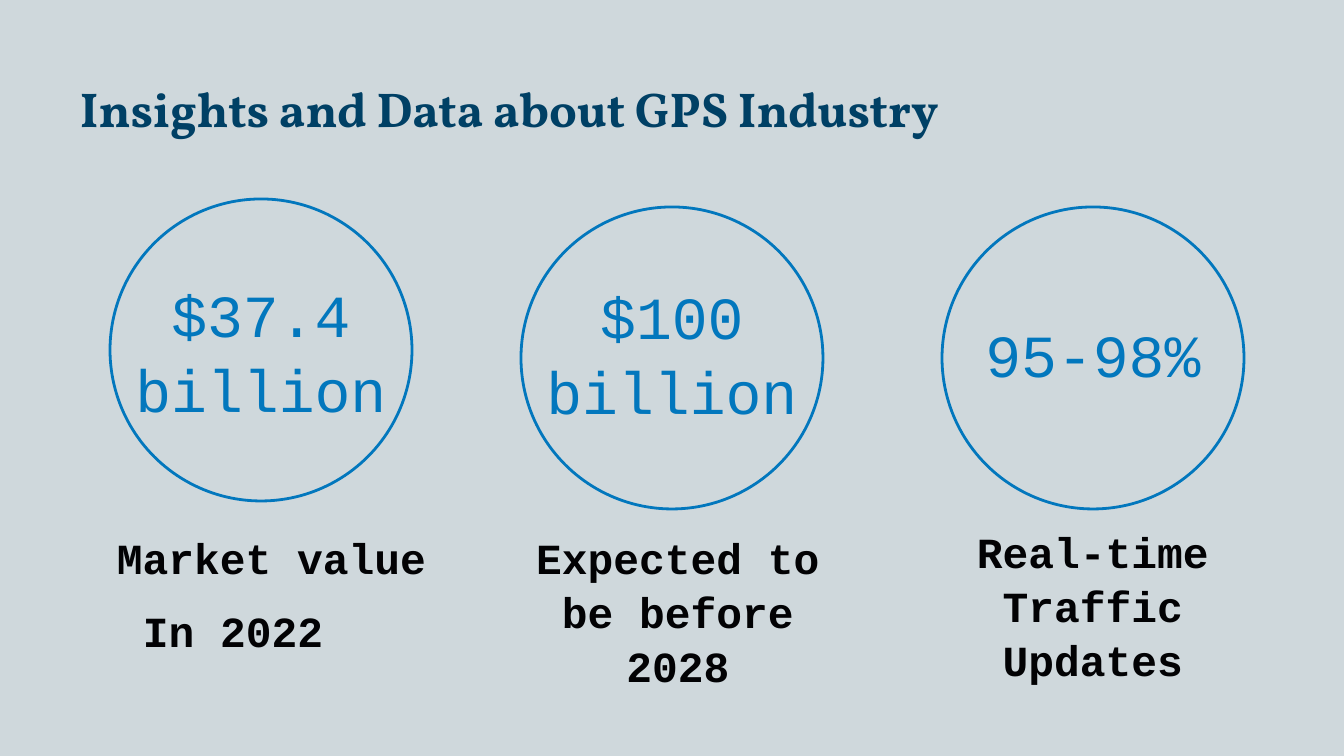
import pptx
import pptx.util
import pptx.dml.color
import pptx.enum.shapes
import pptx.enum.text

RGB = pptx.dml.color.RGBColor
Pt = pptx.util.Pt
ALIGN = pptx.enum.text.PP_ALIGN
ANCHOR = pptx.enum.text.MSO_ANCHOR

PAPER = RGB(0xCF, 0xD8, 0xDC)
BLUE = RGB(0x02, 0x77, 0xBD)
NAVY = RGB(0x00, 0x40, 0x65)
INK = RGB(0x02, 0x02, 0x04)
MONO = "Courier New"
SERIF = "Vollkorn"
SCALE = 914400 / 134.4
RING = 302
PAD = 13


def px(count):
    return pptx.util.Emu(round(count * SCALE))


def add_box(slide, left, top, width, height, anchor, side=0):
    box = slide.shapes.add_textbox(px(left), px(top), px(width), px(height))
    frame = box.text_frame
    frame.word_wrap = True
    frame.vertical_anchor = anchor
    frame.margin_left = frame.margin_right = px(side)
    frame.margin_top = frame.margin_bottom = px(PAD)
    return frame


def style(para, text, face, size, color, bold=False):
    para.text = text
    font = para.font
    font.name, font.size, font.bold = face, Pt(size), bold
    font.color.rgb = color


def space(para, align, before=0, after=10):
    para.alignment = align
    para.line_spacing = 1.05
    para.space_before = Pt(before)
    para.space_after = Pt(after)


def add_title(slide, text):
    frame = add_box(slide, 67, 66, 1210, 84, ANCHOR.MIDDLE, PAD)
    style(frame.paragraphs[0], text, SERIF, 26.2, NAVY, True)


def add_ring(slide, left, top):
    oval = pptx.enum.shapes.MSO_SHAPE.OVAL
    ring = slide.shapes.add_shape(oval, px(left), px(top), px(RING), px(RING))
    ring.shadow.inherit = False
    ring.fill.background()
    ring.line.color.rgb = BLUE
    ring.line.width = Pt(1.5)


def add_value(slide, left, top, text):
    frame = add_box(slide, left, top, RING, 149, ANCHOR.MIDDLE)
    para = frame.paragraphs[0]
    style(para, text, MONO, 32, BLUE)
    space(para, ALIGN.CENTER)


def add_label(slide, left, top, text):
    frame = add_box(slide, left, top, 340, 202, ANCHOR.TOP)
    para = frame.paragraphs[0]
    style(para, text, MONO, 23, INK, True)
    space(para, ALIGN.CENTER)


def add_steps(slide, left, top, lines):
    frame = add_box(slide, left, top, 340, 202, ANCHOR.TOP)
    for row, text in enumerate(lines):
        para = frame.paragraphs[0] if row == 0 else frame.add_paragraph()
        style(para, text, MONO, 23, INK, True)
        space(para, ALIGN.LEFT, 10 * row, 10 * row)
        para._p.get_or_add_pPr().set("marL", str(px(26 * (row + 1))))


def main():
    deck = pptx.Presentation()
    deck.slide_width, deck.slide_height = px(1344), px(756)
    slide = deck.slides.add_slide(deck.slide_layouts[6])
    slide.background.fill.solid()
    slide.background.fill.fore_color.rgb = PAPER

    for left, top in ((110, 199), (521, 207), (942, 207)):
        add_ring(slide, left, top)
    add_title(slide, "Insights and Data about GPS Industry")
    add_value(slide, 110, 275, "$37.4 billion")
    add_steps(slide, 91, 516, ("Market value", "In 2022"))
    add_value(slide, 521, 277, "$100 billion")
    add_label(slide, 508, 516, "Expected to be before 2028")
    add_value(slide, 942, 277, "95-98%")
    add_label(slide, 923, 510, "Real-time Traffic Updates")
    deck.save("out.pptx")


if __name__ == "__main__":
    main()
